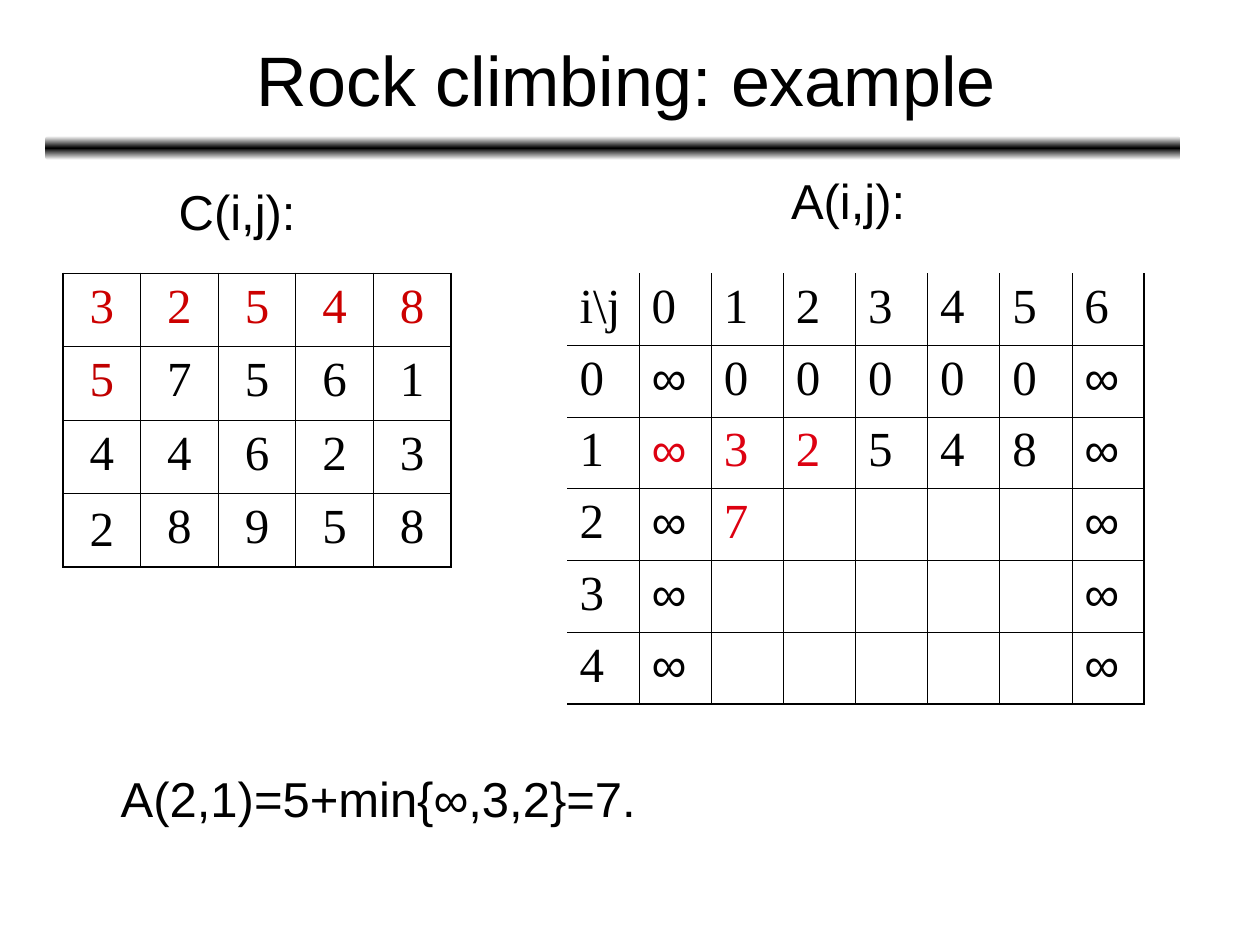
from copy import deepcopy
from dataclasses import dataclass

from lxml import etree
from pptx import Presentation
from pptx import util as u
from pptx.dml import color
from pptx.enum import shapes, text
from pptx.oxml import ns


@dataclass(frozen=True)
class Theme:
    ink: str = "000000"
    paper: str = "FFFFFF"
    cost: str = "CC0000"
    start: str = "C00000"
    step: str = "DD0111"
    sans: str = "Arial"
    serif: str = "Times New Roman"
    head: int = 40
    body: int = 28
    gap: int = 7
    thin: float = 0.45
    thick: float = 1.08


THEME = Theme()

COSTS = ["32548", "57561", "44623", "28958"]
COST_REDS = {(0, col): THEME.cost for col in range(5)} | {(1, 0): THEME.start}

SUMS = [
    ["i\\j", *"0123456"],
    [*"0∞00000∞"],
    [*"1∞32548∞"],
    ["2", "∞", "7", "", "", "", "", "∞"],
    ["3", "∞", "", "", "", "", "", "∞"],
    ["4", "∞", "", "", "", "", "", "∞"],
]
SUM_REDS = dict.fromkeys([(2, 1), (2, 2), (2, 3), (3, 2)], THEME.step)


def rgb(code):
    return color.RGBColor.from_string(code)


def place(box):
    return [u.Inches(n) for n in box]


def style(para, face, size, tint=THEME.ink):
    for run in para.runs:
        run.font.name = face
        run.font.size = u.Pt(size)
        run.font.color.rgb = rgb(tint)


def add_title(slide, words, box):
    frame = slide.shapes.add_textbox(*place(box)).text_frame
    frame.word_wrap = True
    frame.vertical_anchor = text.MSO_ANCHOR.MIDDLE
    frame.text = words
    para = frame.paragraphs[0]
    para.alignment = text.PP_ALIGN.CENTER
    style(para, THEME.sans, THEME.head)


def add_label(slide, words, box):
    frame = slide.shapes.add_textbox(*place(box)).text_frame
    frame.word_wrap = False
    frame.auto_size = text.MSO_AUTO_SIZE.SHAPE_TO_FIT_TEXT
    frame.text = words
    para = frame.paragraphs[0]
    para.line_spacing = 0.9
    style(para, THEME.sans, THEME.body)


def add_bar(slide, box):
    bar = slide.shapes.add_shape(shapes.MSO_SHAPE.ROUNDED_RECTANGLE, *place(box))
    bar.shadow.inherit = False
    bar.line.fill.background()
    bar.fill.gradient()
    bar.fill.gradient_angle = 270
    stops = bar._element.spPr.find(".//" + ns.qn("a:gsLst"))
    stops.append(deepcopy(stops[0]))
    tints = [THEME.paper, THEME.ink, THEME.paper]
    for i, (stop, tint) in enumerate(zip(bar.fill.gradient_stops, tints)):
        stop.position = i / 2
        stop.color.rgb = rgb(tint)


def set_edge(cell, side, width):
    edge = etree.SubElement(cell._tc.get_or_add_tcPr(), ns.qn("a:ln" + side))
    if not width:
        etree.SubElement(edge, ns.qn("a:noFill"))
        return
    edge.set("w", str(int(u.Pt(width))))
    fill = etree.SubElement(edge, ns.qn("a:solidFill"))
    etree.SubElement(fill, ns.qn("a:srgbClr"), val=THEME.ink)


def add_grid(slide, rows, box, reds, align, rim):
    high, wide = len(rows), len(rows[0])
    grid = slide.shapes.add_table(high, wide, *place(box)).table
    grid.first_row = grid.horz_banding = False
    for col in grid.columns:
        col.width = u.Inches(box[2] / wide)
    for row in grid.rows:
        row.height = u.Inches(box[3] / high)
    for r, row in enumerate(rows):
        for c, mark in enumerate(row):
            cell = grid.cell(r, c)
            outer = {"L": c == 0, "R": c == wide - 1, "T": r == 0, "B": r == high - 1}
            for side, end in outer.items():
                set_edge(cell, side, rim[side] if end else THEME.thin)
            cell.fill.background()
            cell.text_frame.text = mark
            para = cell.text_frame.paragraphs[0]
            para.alignment = align
            para.space_before = u.Pt(THEME.gap)
            face = THEME.sans if mark == "∞" else THEME.serif
            style(para, face, THEME.body, reds.get((r, c), THEME.ink))
    return grid


def main():
    deck = Presentation()
    deck.slide_width, deck.slide_height = u.Inches(10), u.Inches(7.5)
    slide = deck.slides.add_slide(deck.slide_layouts[6])
    add_bar(slide, (0.36, 1.08, 9.01, 0.19))
    add_title(slide, "Rock climbing: example", (0.72, 0, 8.5, 1.25))
    rim = dict.fromkeys("LRTB", THEME.thick)
    costs = add_grid(slide, COSTS, (0.5, 2.17, 3.08, 2.33), COST_REDS,
                     text.PP_ALIGN.CENTER, rim)
    costs.cell(3, 0).vertical_anchor = text.MSO_ANCHOR.MIDDLE
    add_label(slide, "C(i,j):", (1.32, 1.44, 1.15, 0.52))
    add_label(slide, "A(i,j):", (6.18, 1.36, 1.15, 0.52))
    add_label(slide, "A(2,1)=5+min{∞,3,2}=7.", (0.86, 6.1, 4.32, 0.52))
    add_grid(slide, SUMS, (4.5, 2.17, 4.58, 3.42), SUM_REDS,
             text.PP_ALIGN.LEFT, rim | {"L": 0, "T": 0})
    deck.save("out.pptx")


if __name__ == "__main__":
    main()
